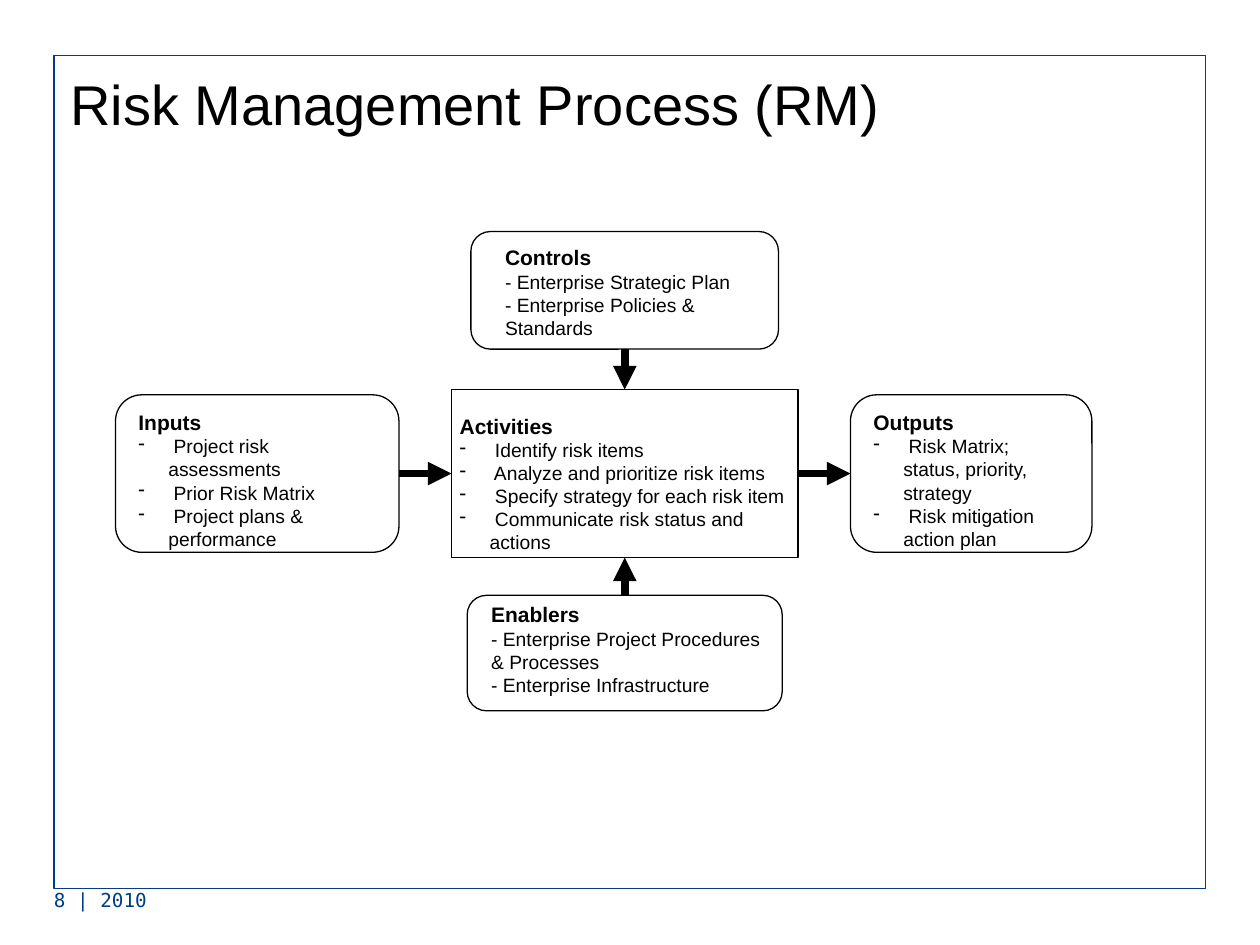
from lxml import etree
from pptx import Presentation
from pptx.dml.color import RGBColor
from pptx.enum.shapes import MSO_CONNECTOR, MSO_SHAPE
from pptx.enum.text import MSO_ANCHOR
from pptx.oxml.ns import qn
from pptx.util import Inches, Pt

STRAIGHT = MSO_CONNECTOR.STRAIGHT
RECTANGLE = MSO_SHAPE.RECTANGLE
ROUNDED = MSO_SHAPE.FLOWCHART_ALTERNATE_PROCESS
TOP, MIDDLE = MSO_ANCHOR.TOP, MSO_ANCHOR.MIDDLE
SIDE_TOP, SIDE_LEFT, SIDE_BOTTOM, SIDE_RIGHT = range(4)

THEME = {
    "black": RGBColor(0, 0, 0),
    "white": RGBColor(255, 255, 255),
    "blue": RGBColor(0x00, 0x3D, 0x85),
    "font": "Arial",
    "footer_font": "DejaVu Sans Mono",
    "title": 32,
    "heading": 12,
    "body": 11,
    "outline": 0.75,
    "arrow": 4.5,
}

presentation = Presentation()
presentation.slide_width = Inches(10)
presentation.slide_height = Inches(7.5)
slide = presentation.slides.add_slide(presentation.slide_layouts[6])
COLUMN = presentation.slide_width / 120
ROW = presentation.slide_height / 90


def grid(left, top, width, height):
    return [round(n * unit) for n, unit in zip((left, top, width, height), (COLUMN, ROW) * 2)]


def add_text(area, lines, size=THEME["body"], font=THEME["font"], color=THEME["black"],
             heading=None, bullets=False, wrap=True, anchor=TOP):
    frame = slide.shapes.add_textbox(*grid(*area)).text_frame
    frame.word_wrap = wrap
    frame.vertical_anchor = anchor
    entries = [(heading, True)] if heading else []
    entries += [(line, False) for line in lines]
    for index, (text, is_heading) in enumerate(entries):
        paragraph = frame.add_paragraph() if index else frame.paragraphs[0]
        run = paragraph.add_run()
        run.text = text
        run.font.name = font
        run.font.size = Pt(THEME["heading"] if is_heading else size)
        run.font.bold = is_heading
        run.font.color.rgb = color
        if bullets and not is_heading:
            properties = paragraph._p.get_or_add_pPr()
            indent = round(2.85 * COLUMN)
            properties.set("marL", str(indent))
            properties.set("indent", str(-indent))
            etree.SubElement(properties, qn("a:buChar"), char="-")


BOXES = [
    {"heading": "Controls", "shape": ROUNDED, "area": (44.85, 22.05, 29.3, 11.2),
     "text_area": (46.92, 22.7, 25.1, 10.2),
     "lines": ["- Enterprise Strategic Plan", "- Enterprise Policies & Standards"]},
    {"heading": "Outputs", "shape": ROUNDED, "area": (81, 37.6, 23, 15),
     "text_area": (82, 38.4, 21, 12.6), "bullets": True,
     "lines": [" Risk Matrix; status, priority, strategy", " Risk mitigation action plan"]},
    {"heading": "Inputs", "shape": ROUNDED, "area": (11, 37.6, 27, 15),
     "text_area": (12, 38.4, 26, 12.5), "bullets": True,
     "lines": [" Project risk assessments", " Prior Risk Matrix", " Project plans & performance"]},
    {"heading": "Activities", "shape": RECTANGLE, "area": (43, 37.1, 33, 16),
     "text_area": (42.6, 38.75, 33.72, 12.5), "bullets": True,
     "lines": [" Identify risk items", " Analyze and prioritize risk items",
               " Specify strategy for each risk item", " Communicate risk status and actions"]},
    {"heading": "Enablers", "shape": ROUNDED, "area": (44.5, 56.7, 30, 11),
     "text_area": (45.6, 56.7, 28.1, 10.2), "wrap": False,
     "lines": ["- Enterprise Project Procedures", "& Processes", "- Enterprise Infrastructure"]},
]
ARROWS = [
    ("Controls", SIDE_BOTTOM, "Activities", SIDE_TOP),
    ("Inputs", SIDE_RIGHT, "Activities", SIDE_LEFT),
    ("Activities", SIDE_RIGHT, "Outputs", SIDE_LEFT),
    ("Enablers", SIDE_TOP, "Activities", SIDE_BOTTOM),
]

border = slide.shapes.add_shape(RECTANGLE, *grid(5.16, 5.28, 109.68, 79.32))
border.shadow.inherit = False
border.fill.background()
border.line.color.rgb = THEME["blue"]
border.line.width = Pt(THEME["outline"])

add_text((5.52, 5.88, 114.48, 7.92), ["Risk Management Process (RM)"],
         size=THEME["title"], anchor=MIDDLE)

shapes = {}
for box in BOXES:
    shape = slide.shapes.add_shape(box["shape"], *grid(*box["area"]))
    shape.shadow.inherit = False
    shape.fill.solid()
    shape.fill.fore_color.rgb = THEME["white"]
    shape.line.color.rgb = THEME["black"]
    shape.line.width = Pt(THEME["outline"])
    shapes[box["heading"]] = shape
    add_text(box["text_area"], box["lines"], heading=box["heading"],
             bullets=box.get("bullets", False), wrap=box.get("wrap", True))

for source, source_side, target, target_side in ARROWS:
    arrow = slide.shapes.add_connector(STRAIGHT, 0, 0, 0, 0)
    arrow.begin_connect(shapes[source], source_side)
    arrow.end_connect(shapes[target], target_side)
    arrow.line.color.rgb = THEME["black"]
    arrow.line.width = Pt(THEME["arrow"])
    etree.SubElement(arrow.line._get_or_add_ln(), qn("a:tailEnd"), type="triangle")
    etree.SubElement(arrow._element.spPr, qn("a:effectLst"))

add_text((3.96, 84, 27.96, 6), ["8 | 2010"], font=THEME["footer_font"], color=THEME["blue"])

presentation.save("out.pptx")
